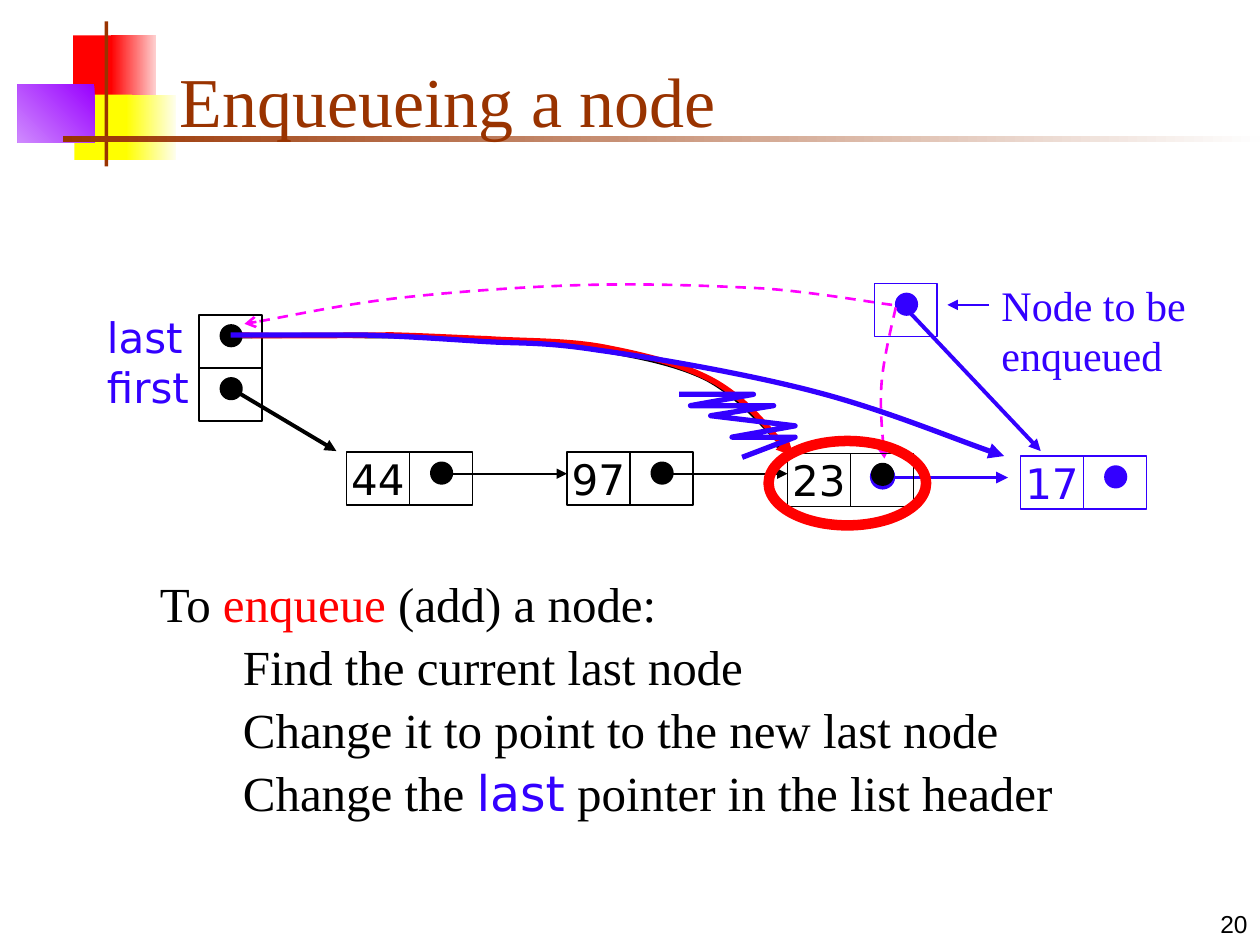
"""Build a slide that shows how a node is enqueued in a linked list."""
from lxml import etree
from pptx import Presentation
from pptx.dml.color import RGBColor
from pptx.enum.dml import MSO_LINE
from pptx.enum.shapes import MSO_CONNECTOR, MSO_SHAPE
from pptx.enum.text import MSO_ANCHOR, PP_ALIGN
from pptx.oxml.ns import qn
from pptx.util import Cm, Pt

RECTANGLE, ELLIPSE = MSO_SHAPE.RECTANGLE, MSO_SHAPE.OVAL
STRAIGHT, DASH = MSO_CONNECTOR.STRAIGHT, MSO_LINE.DASH
TOP, MIDDLE, BOTTOM = MSO_ANCHOR.TOP, MSO_ANCHOR.MIDDLE, MSO_ANCHOR.BOTTOM
LEFT, CENTER, RIGHT = PP_ALIGN.LEFT, PP_ALIGN.CENTER, PP_ALIGN.RIGHT
SERIF, SANS, PLAIN = "Times New Roman", "DejaVu Sans", "Arial"

COLOURS = {
    "black": "000000", "blue": "3300FF", "red": "FF0000", "pink": "FF00FF",
    "brown": "993300", "yellow": "FFFF00", "violet": "9900FF", "lilac": "CF8AFE",
    "rose": "FED0D0", "cream": "FEFEEF", "white": "FEFEFE",
}
CELL = (0.5, 0.42)
DOT = 0.17
DOT_OFFSET = (0.17, 0.08)

DECORATION = [
    ((0.58, 0.28, 0.35, 0.52), ["red"], 0),
    ((0.88, 0.28, 0.36, 0.52), ["rose", "red"], 180),
    ((0.59, 0.75, 0.46, 0.52), ["yellow"], 0),
    ((1, 0.75, 0.4, 0.52), ["cream", "yellow"], 180),
    ((0.14, 0.67, 0.61, 0.46), ["violet", "lilac"], 225),
    ((0.83, 0.17, 0.03, 1.15), ["brown"], 0),
    ((0.5, 1.08, 9.5, 0.05), ["white", "brown"], 180),
]
NEW_NODE = (8.1, 3.62, "17", "blue")
LIST_NODES = [(2.75, 3.59, "44", "black"), (4.5, 3.59, "97", "black"),
              (6.25, 3.6, "23", "black")]
NEW_POINTER = (6.94, 2.25)
HEADER = [(1.58, 2.5), (1.58, 2.92)]
NEW_ARROWS = [
    ((7, 3.79), (8, 3.79), "blue", 2.25),
    ((7.85, 2.42), (7.52, 2.42), "blue", 1.5),
    ((7.23, 2.49), (8.26, 3.58), "blue", 2.25),
]
LIST_ARROWS = [
    ((3.5, 3.76), (4.5, 3.76), "black", 1),
    ((5.25, 3.76), (6.25, 3.76), "black", 1),
    ((1.83, 3.08), (2.67, 3.58), "black", 2.25),
]
DASHED_CURVES = [
    [(7.11, 2.44), (7.09, 2.53), (7.02, 2.81), (7, 3.01),
     (6.98, 3.21), (7.01, 3.51), (7.02, 3.64)],
    [(7.08, 2.42), (6.92, 2.4), (6.47, 2.32), (6.07, 2.29),
     (5.68, 2.27), (5.2, 2.25), (4.72, 2.26), (4.24, 2.27), (3.67, 2.31),
     (3.21, 2.36), (2.74, 2.41), (2.2, 2.53), (1.94, 2.57)],
]
OLD_LAST = [(1.83, 2.67), (2.15, 2.67), (2.59, 2.66), (2.92, 2.67),
            (3.24, 2.67), (3.49, 2.67), (3.79, 2.69), (4.08, 2.71),
            (4.39, 2.71), (4.7, 2.77), (5, 2.82), (5.35, 2.88),
            (5.61, 3.01), (5.87, 3.15), (6.12, 3.46), (6.26, 3.58)]
FOUND_LAST = [(1.92, 2.66), (2.12, 2.67), (2.8, 2.66), (3.12, 2.66),
              (3.45, 2.67), (3.59, 2.68), (3.87, 2.69), (4.15, 2.71),
              (4.51, 2.7), (4.81, 2.76), (5.12, 2.82), (5.45, 2.9),
              (5.69, 3.04), (5.94, 3.19), (6.17, 3.5), (6.3, 3.62)]
NEW_LAST = [(1.83, 2.66), (2.01, 2.66), (2.58, 2.66), (2.91, 2.66),
            (3.24, 2.67), (3.51, 2.69), (3.82, 2.71), (4.13, 2.73),
            (4.3, 2.71), (4.75, 2.78), (5.19, 2.84), (5.94, 2.97),
            (6.47, 3.11), (7.01, 3.25), (7.66, 3.52), (7.97, 3.62)]
SCRIBBLE = [(5.39, 3.13), (5.98, 3.13), (5.48, 3.22), (6.14, 3.22), (5.64, 3.3),
            (6.31, 3.38), (5.81, 3.47), (6.31, 3.47), (5.89, 3.63)]
STEPS = [
    (1.17, [("To ", SERIF, "black"), ("enqueue", SERIF, "red"),
            (" (add) a node:", SERIF, "black")]),
    (1.83, [("Find the current last node", SERIF, "black")]),
    (1.83, [("Change it to point to the new last node", SERIF, "black")]),
    (1.83, [("Change the ", SERIF, "black"), ("last", SANS, "blue"),
            (" pointer in the list header", SERIF, "black")]),
]


def rgb(name):
    return RGBColor.from_string(COLOURS[name])


def inches(*values):
    return [Cm(value * 2.54) for value in values]


def style_line(shape, colour, width, head=None, dash=None):
    shape.line.color.rgb = rgb(colour)
    shape.line.width = Pt(width)
    if dash:
        shape.line.dash_style = dash
    if head:
        outline = shape.element.spPr.find(qn("a:ln"))
        etree.SubElement(outline, qn("a:tailEnd"), type=head)


def add_outline(page, kind, place, colour, width=1, filled=False):
    shape = page.shapes.add_shape(kind, *inches(*place))
    shape.shadow.inherit = False
    if filled:
        shape.fill.solid()
        shape.fill.fore_color.rgb = rgb(colour)
    else:
        shape.fill.background()
    style_line(shape, colour, width)
    return shape


def add_decoration(page, place, colours, angle):
    shape = page.shapes.add_shape(RECTANGLE, *inches(*place))
    shape.shadow.inherit = False
    shape.line.fill.background()
    if len(colours) == 1:
        shape.fill.solid()
        shape.fill.fore_color.rgb = rgb(colours[0])
        return
    shape.fill.gradient()
    shape.fill.gradient_angle = angle
    for stop, colour in zip(shape.fill.gradient_stops, colours):
        stop.color.rgb = rgb(colour)


def write(box, spans, size, align=LEFT, anchor=TOP, wrap=True):
    frame = box.text_frame
    frame.word_wrap = wrap
    frame.vertical_anchor = anchor
    para = frame.paragraphs[0]
    para.alignment = align
    for text, font, colour in spans:
        for number, line in enumerate(text.split("\n")):
            if number:
                para.add_line_break()
            span = para.add_run()
            span.text = line
            span.font.name = font
            span.font.size = Pt(size)
            span.font.color.rgb = rgb(colour)


def add_text(page, place, spans, size, **form):
    write(page.shapes.add_textbox(*inches(*place)), spans, size, **form)


def add_pointer(page, left, top, colour):
    add_outline(page, RECTANGLE, (left, top, *CELL), colour)
    across, down = DOT_OFFSET
    add_outline(page, ELLIPSE, (left + across, top + down, DOT, DOT), colour, filled=True)


def add_node(page, left, top, value, colour):
    cell = add_outline(page, RECTANGLE, (left, top, *CELL), colour)
    write(cell, [(value, SANS, colour)], 24, align=CENTER, anchor=MIDDLE, wrap=False)
    add_pointer(page, left + CELL[0], top, colour)


def add_arrow(page, start, end, colour, width):
    arrow = page.shapes.add_connector(STRAIGHT, *inches(*start, *end))
    style_line(arrow, colour, width, "triangle")
    etree.SubElement(arrow.element.spPr, qn("a:effectLst"))


def add_stroke(page, points, colour, width, curved=True, head="triangle", dash=None):
    start, *others = [inches(*point) for point in points]
    builder = page.shapes.build_freeform(*start)
    builder.add_line_segments(others, close=False)
    shape = builder.convert_to_shape()
    shape.shadow.inherit = False
    shape.fill.background()
    style_line(shape, colour, width, head, dash)
    if curved:
        segments = list(shape.element.iter(qn("a:lnTo")))
        for first in range(0, len(segments), 3):
            trio = segments[first:first + 3]
            curve = etree.SubElement(trio[0].getparent(), qn("a:cubicBezTo"))
            for segment in trio:
                curve.append(segment[0])
                segment.getparent().remove(segment)


def main():
    deck = Presentation()
    deck.slide_width, deck.slide_height = inches(10, 7.5)
    page = deck.slides.add_slide(deck.slide_layouts[6])
    for place, colours, angle in DECORATION:
        add_decoration(page, place, colours, angle)
    add_text(page, (1.33, 0.25, 8.52, 0.92), [("Enqueueing a node", SERIF, "brown")], 40,
             anchor=BOTTOM)
    add_outline(page, ELLIPSE, (6.92, 3.7, DOT, DOT), "blue", 2.25, filled=True)
    add_node(page, *NEW_NODE)
    add_pointer(page, *NEW_POINTER, "blue")
    for arrow in NEW_ARROWS:
        add_arrow(page, *arrow)
    add_text(page, (7.85, 2.17, 1.67, 0.9), [("Node to be enqueued", SERIF, "blue")], 24)
    for points in DASHED_CURVES:
        add_stroke(page, points, "pink", 1.5, head="arrow", dash=DASH)
    for row, (left, spans) in enumerate(STEPS):
        add_text(page, (left, 4.5 + row * 0.5, 6.92, 0.57), spans, 28)
    add_stroke(page, OLD_LAST, "black", 2.25)
    for node in LIST_NODES:
        add_node(page, *node)
    for left, top in HEADER:
        add_pointer(page, left, top, "black")
    for arrow in LIST_ARROWS:
        add_arrow(page, *arrow)
    add_text(page, (0.75, 2.42, 1.08, 0.9), [("last\nfirst", SANS, "blue")], 24)
    add_stroke(page, FOUND_LAST, "red", 3.25)
    add_outline(page, ELLIPSE, (6.1, 3.5, 1.25, 0.67), "red", 6)
    add_stroke(page, NEW_LAST, "blue", 3)
    add_stroke(page, SCRIBBLE, "blue", 3, curved=False, head=None)
    add_text(page, (7.92, 7, 2.08, 0.5), [("20", PLAIN, "black")], 14,
             align=RIGHT, anchor=BOTTOM)
    deck.save("out.pptx")


if __name__ == "__main__":
    main()
